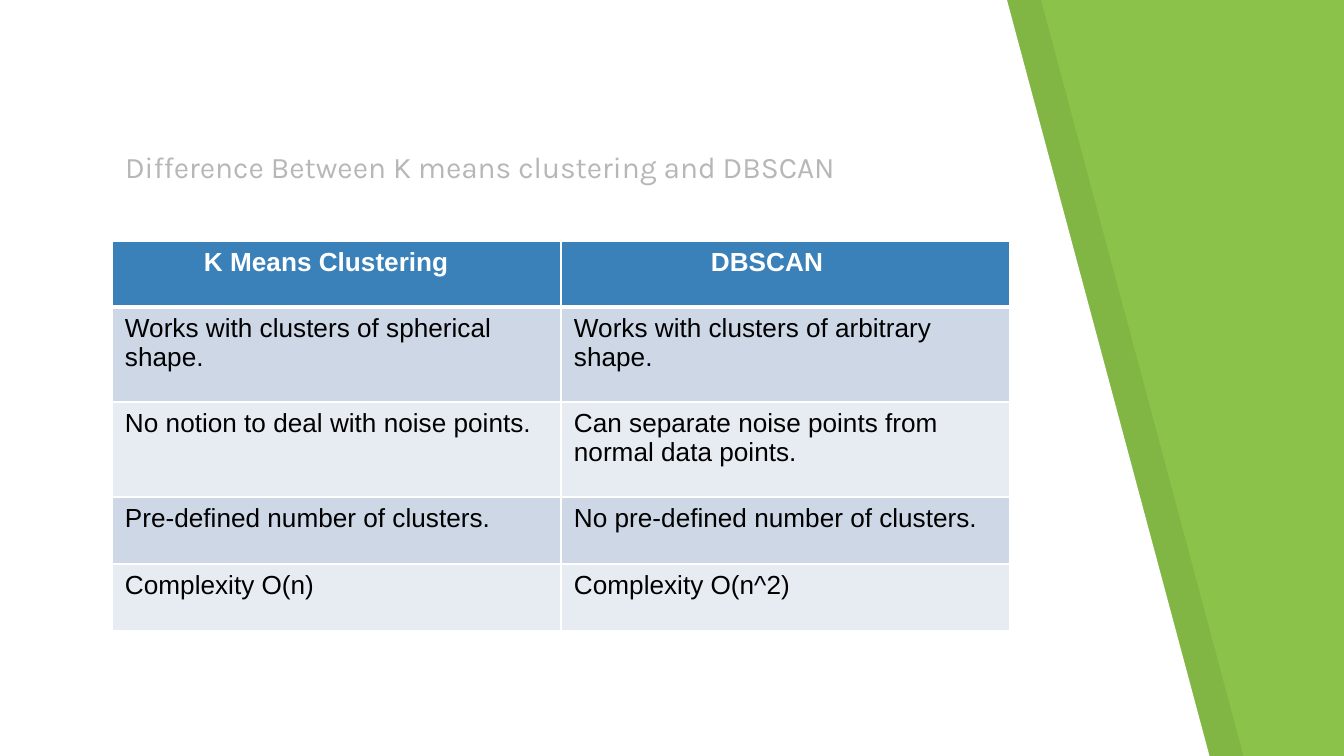
from dataclasses import dataclass

import pptx
import pptx.dml.color
import pptx.enum.text
import pptx.oxml
import pptx.oxml.ns
import pptx.util

EMU_PER_PX = 914400 / 134.4
SLIDE_WIDTH, SLIDE_HEIGHT = 1344, 756
WHITE, BLACK = "FFFFFF", "000000"
BAND_COLORS = ["CDD7E6", "E7ECF3"]
COLUMN_WIDTH = 449
CELL_INSET = 13


@dataclass
class Panel:
    left: int
    color: str
    opacity: int = 100


@dataclass
class Row:
    height: int
    texts: tuple[str, str]
    fill: str
    insets: tuple[int, int] = (CELL_INSET, CELL_INSET)
    header: bool = False


PANELS = [Panel(34, BLACK, 7), Panel(0, WHITE)]
HEADER = Row(66, ("K Means Clustering", "DBSCAN"), "3A81BA", (92, 150), True)
COMPARISONS = [
    (95, ("Works with clusters of spherical shape.",
          "Works with clusters of arbitrary shape.")),
    (95, ("No notion to deal with noise points.",
          "Can separate noise points from normal data points.")),
    (67, ("Pre-defined number of clusters.", "No pre-defined number of clusters.")),
    (67, ("Complexity O(n)", "Complexity O(n^2)")),
]
ROWS = [HEADER] + [
    Row(height, texts, BAND_COLORS[i % 2])
    for i, (height, texts) in enumerate(COMPARISONS)
]


def px(length: int) -> pptx.util.Emu:
    return pptx.util.Emu(round(length * EMU_PER_PX))


def rgb(color: str) -> pptx.dml.color.RGBColor:
    return pptx.dml.color.RGBColor.from_string(color)


def paint(fill, color: str) -> None:
    fill.solid()
    fill.fore_color.rgb = rgb(color)


def write(paragraph, text: str, color: str, **formats) -> None:
    run = paragraph.add_run()
    run.text = text
    run.font.color.rgb = rgb(color)
    for attribute, value in formats.items():
        setattr(run.font, attribute, value)


def draw_panel(slide, panel: Panel) -> None:
    """Draw a full-height panel with a slanted right edge."""
    builder = slide.shapes.build_freeform(panel.left, -1, scale=EMU_PER_PX)
    corners = [(0, 758), (1210, 758), (1007, 0)]
    builder.add_line_segments([(panel.left + x, y) for x, y in corners])
    shape = builder.convert_to_shape()
    shape.shadow.inherit = False
    shape.line.fill.background()
    paint(shape.fill, panel.color)
    if panel.opacity < 100:
        color = shape.fill._xPr.find(".//" + pptx.oxml.ns.qn("a:srgbClr"))
        color.append(pptx.oxml.parse_xml(
            f'<a:alpha {pptx.oxml.ns.nsdecls("a")} val="{panel.opacity * 1000}"/>'))


def draw_title(slide, text: str) -> None:
    title = slide.shapes.add_textbox(px(112), px(113), px(836), px(85))
    formats = {
        "word_wrap": True,
        "vertical_anchor": pptx.enum.text.MSO_ANCHOR.BOTTOM,
        "margin_left": px(CELL_INSET),
        "margin_right": px(CELL_INSET),
        "margin_top": px(CELL_INSET),
        "margin_bottom": px(CELL_INSET),
    }
    for attribute, value in formats.items():
        setattr(title.text_frame, attribute, value)
    write(title.text_frame.paragraphs[0], text, "B7B7B7",
          name="Karla", size=pptx.util.Pt(16))


def add_borders(cell, header: bool) -> None:
    """Give a cell white edges, with a thick one below the header."""
    properties = cell._tc.get_or_add_tcPr()
    widths = {"L": 1, "R": 1, "T": 1, "B": 3 if header else 1}
    for position, (side, width) in enumerate(widths.items()):
        properties.insert(position, pptx.oxml.parse_xml(
            f'<a:ln{side} {pptx.oxml.ns.nsdecls("a")} w="{pptx.util.Pt(width)}">'
            f'<a:solidFill><a:srgbClr val="{WHITE}"/></a:solidFill></a:ln{side}>'))


def draw_table(slide, rows: list[Row]) -> None:
    column_count = len(HEADER.texts)
    table = slide.shapes.add_table(
        len(rows), column_count, px(112), px(241),
        px(COLUMN_WIDTH * column_count), px(sum(row.height for row in rows))).table
    for column in table.columns:
        column.width = px(COLUMN_WIDTH)
    for row, table_row in zip(rows, table.rows):
        table_row.height = px(row.height)
        for cell, text, inset in zip(table_row.cells, row.texts, row.insets):
            cell.margin_left = px(inset)
            paint(cell.fill, row.fill)
            add_borders(cell, row.header)
            write(cell.text_frame.paragraphs[0], text,
                  WHITE if row.header else BLACK,
                  name="Arial", size=pptx.util.Pt(14), bold=row.header)


def main() -> None:
    presentation = pptx.Presentation()
    presentation.slide_width = px(SLIDE_WIDTH)
    presentation.slide_height = px(SLIDE_HEIGHT)
    slide = presentation.slides.add_slide(presentation.slide_layouts[6])
    paint(slide.background.fill, "8BC34A")
    for panel in PANELS:
        draw_panel(slide, panel)
    draw_table(slide, ROWS)
    draw_title(slide, "Difference Between K means clustering and DBSCAN")
    presentation.save("out.pptx")


if __name__ == "__main__":
    main()
